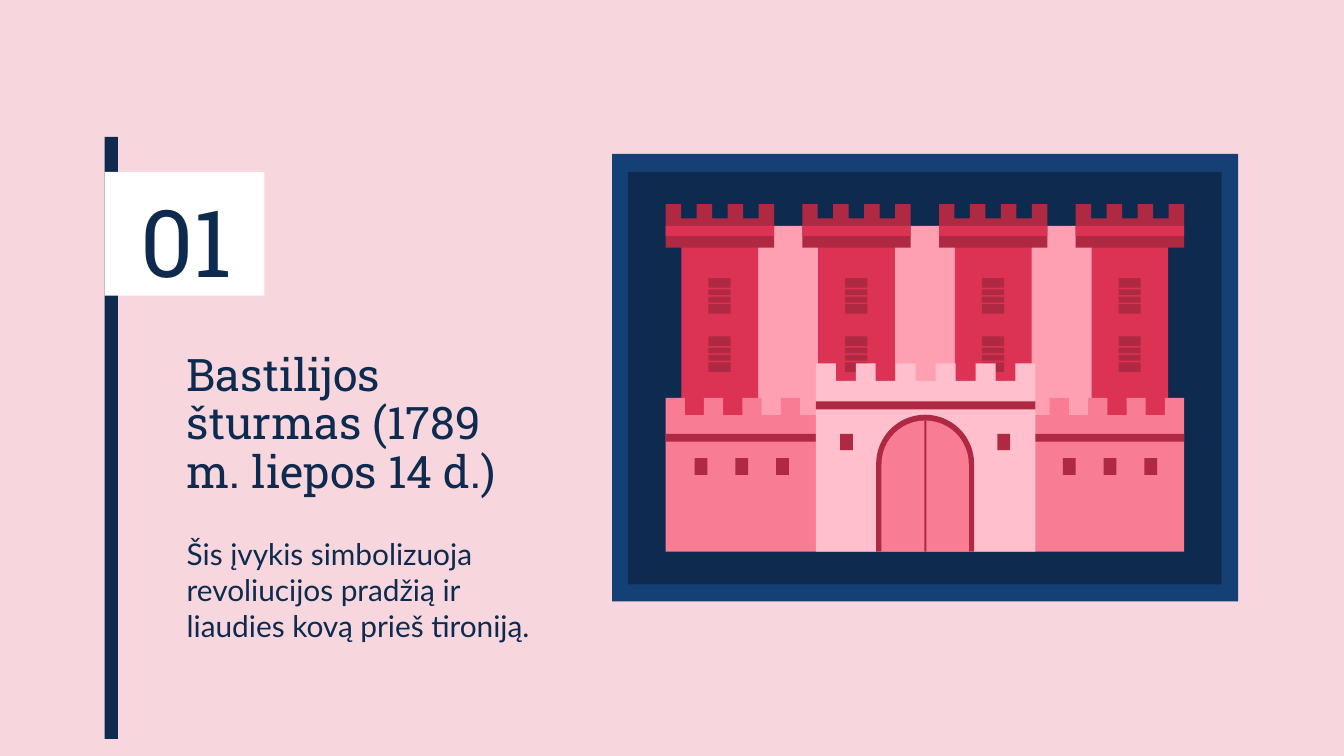
"""Build the slide about the storming of the Bastille on 14 July 1789."""
from pptx import Presentation
from pptx.dml.color import RGBColor
from pptx.enum.shapes import MSO_SHAPE
from pptx.enum.text import MSO_ANCHOR, PP_ALIGN
from pptx.util import Cm, Pt

BLUSH = RGBColor(0xF7, 0xD6, 0xDD)
NAVY = RGBColor(0x0E, 0x2B, 0x4F)
BLUE = RGBColor(0x15, 0x40, 0x75)
WHITE = RGBColor(0xFF, 0xFF, 0xFF)
CRIMSON = RGBColor(0xDC, 0x33, 0x54)
MAROON = RGBColor(0xB0, 0x29, 0x43)
ROSE = RGBColor(0xFF, 0x9F, 0xB2)
CORAL = RGBColor(0xF7, 0x7C, 0x94)
PALE_ROSE = RGBColor(0xFF, 0xBF, 0xCC)

RECT = MSO_SHAPE.RECTANGLE
ARCH = MSO_SHAPE.ROUND_2_SAME_RECTANGLE

prs = Presentation()
prs.slide_width, prs.slide_height = Cm(25.4), Cm(14.29)
slide = prs.slides.add_slide(prs.slide_layouts[6])
slide.background.fill.solid()
slide.background.fill.fore_color.rgb = BLUSH


def write(text, *, box, font, size, spacing=1.0, align=PP_ALIGN.LEFT, anchor=MSO_ANCHOR.TOP):
    frame = slide.shapes.add_textbox(*map(Cm, box)).text_frame
    frame.word_wrap = True
    frame.vertical_anchor = anchor
    frame.margin_left = frame.margin_right = Cm(0.25)
    frame.margin_top = frame.margin_bottom = Cm(0.25)
    paragraph = frame.paragraphs[0]
    paragraph.alignment = align
    paragraph.line_spacing = spacing
    run = paragraph.add_run()
    run.text = text
    run.font.name = font
    run.font.size = Pt(size)
    run.font.color.rgb = NAVY


def battlement(left, width, merlons, top, base):
    unit = width / (2 * merlons - 1)
    points = []
    for i in range(merlons):
        start = left + 2 * i * unit
        end = start + unit
        points += [(start, base), (start, top), (end, top), (end, base)]
    return points


# Each layer is a colour with either a preset and its box or an outline.
layers = [
    (BLUE, RECT, (11.57, 2.91, 11.83, 8.46)),
    (NAVY, RECT, (11.87, 3.25, 11.22, 7.8)),
    (ROSE, RECT, (12.9, 4.27, 9.14, 3.68)),
]

castle_left, castle_width, ground = 12.58, 9.8, 10.43
castle_right = castle_left + castle_width
tower_width, tower_count = 2.05, 4
tower_pitch = (castle_width - tower_width) / (tower_count - 1)
for tower in range(tower_count):
    left = castle_left + tower * tower_pitch
    right = left + tower_width
    crown = battlement(left, tower_width, 4, 3.86, 4.13) + [(right, 4.68), (left, 4.68)]
    layers += [
        (CRIMSON, RECT, (left + 0.3, 4.53, 1.45, 3.84)),
        (MAROON, None, crown),
        (CRIMSON, RECT, (left, 4.27, tower_width, 0.19)),
    ]
    for window_top in (5.26, 6.36):
        for drop, height in ((0, 0.18), (0.21, 0.11), (0.35, 0.11), (0.49, 0.18)):
            layers.append((MAROON, RECT, (left + 0.81, window_top + drop, 0.42, height)))

rampart = 2.54
wall = battlement(castle_left, rampart, 4, 7.52, 7.85)
wall += battlement(castle_right - rampart, rampart, 4, 7.52, 7.85)
wall += [(castle_right, ground), (castle_left, ground)]
gate_left, gate_width = 15.42, 4.15
gate_right = gate_left + gate_width
gate = battlement(gate_left, gate_width, 6, 6.87, 7.2)
gate += [(gate_right, ground), (gate_left, ground)]
layers += [
    (CORAL, None, wall),
    (MAROON, RECT, (castle_left, 8.2, castle_width, 0.15)),
    (PALE_ROSE, None, gate),
    (MAROON, RECT, (gate_left, 7.59, gate_width, 0.15)),
]
for left in (15.88, 18.85):
    layers.append((MAROON, RECT, (left, 8.2, 0.24, 0.31)))
for first in (13.13, 20.09):
    for i in range(3):
        layers.append((MAROON, RECT, (first + 0.77 * i, 8.66, 0.24, 0.32)))

layers += [
    (MAROON, ARCH, (16.56, 7.84, 1.85, 2.59)),
    (CORAL, ARCH, (16.66, 7.95, 1.65, 2.48)),
    (MAROON, RECT, (17.47, 7.95, 0.04, 2.48)),
    (NAVY, RECT, (1.98, 2.59, 0.25, 11.38)),
    (WHITE, RECT, (1.98, 3.25, 3.02, 2.34)),
]

for color, preset, geometry in layers:
    if preset is None:
        start, *rest = [(Cm(x), Cm(y)) for x, y in geometry]
        builder = slide.shapes.build_freeform(*start)
        builder.add_line_segments(rest)
        part = builder.convert_to_shape()
    else:
        part = slide.shapes.add_shape(preset, *map(Cm, geometry))
        if preset == ARCH:
            part.adjustments[0] = 0.5
    part.shadow.inherit = False
    part.fill.solid()
    part.fill.fore_color.rgb = color
    part.line.fill.background()

write("01", box=(2.01, 3.51, 3.02, 2.34), font="Roboto Slab", size=50, spacing=0.9,
      align=PP_ALIGN.CENTER, anchor=MSO_ANCHOR.MIDDLE)
write("Bastilijos šturmas (1789 m. liepos 14 d.)", box=(3.28, 6.12, 7.01, 3.84),
      font="Roboto Slab", size=24, spacing=0.9, anchor=MSO_ANCHOR.MIDDLE)
write("Šis įvykis simbolizuoja revoliucijos pradžią ir liaudies kovą prieš tironiją.",
      box=(3.28, 9.88, 7.01, 2.11), font="Lato", size=16)

prs.save("out.pptx")
